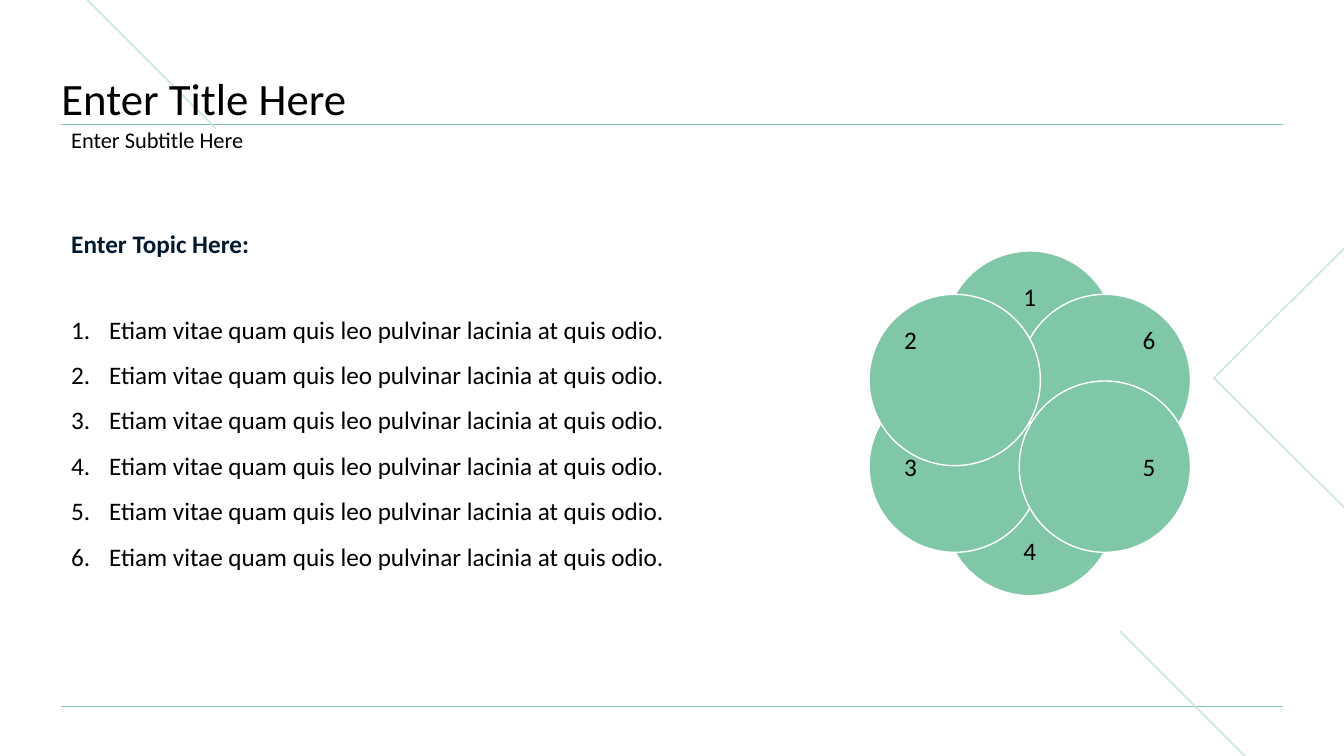
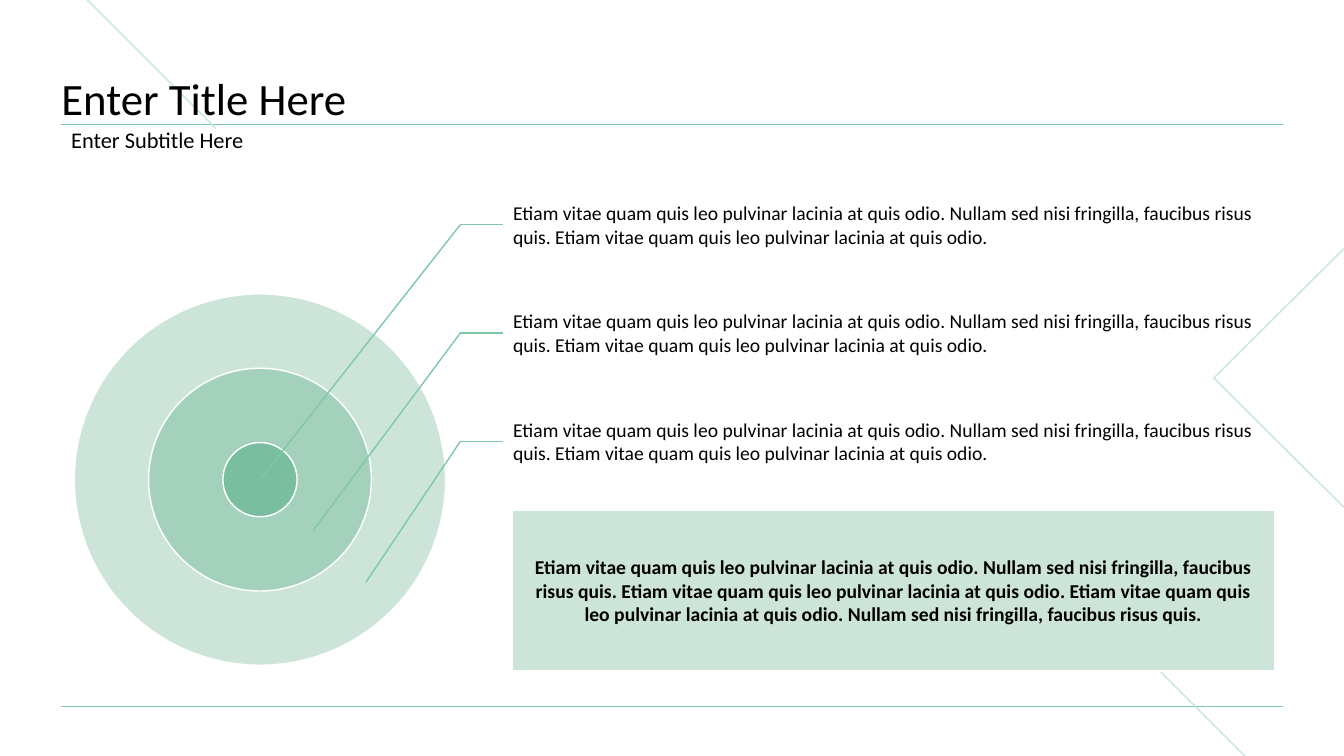
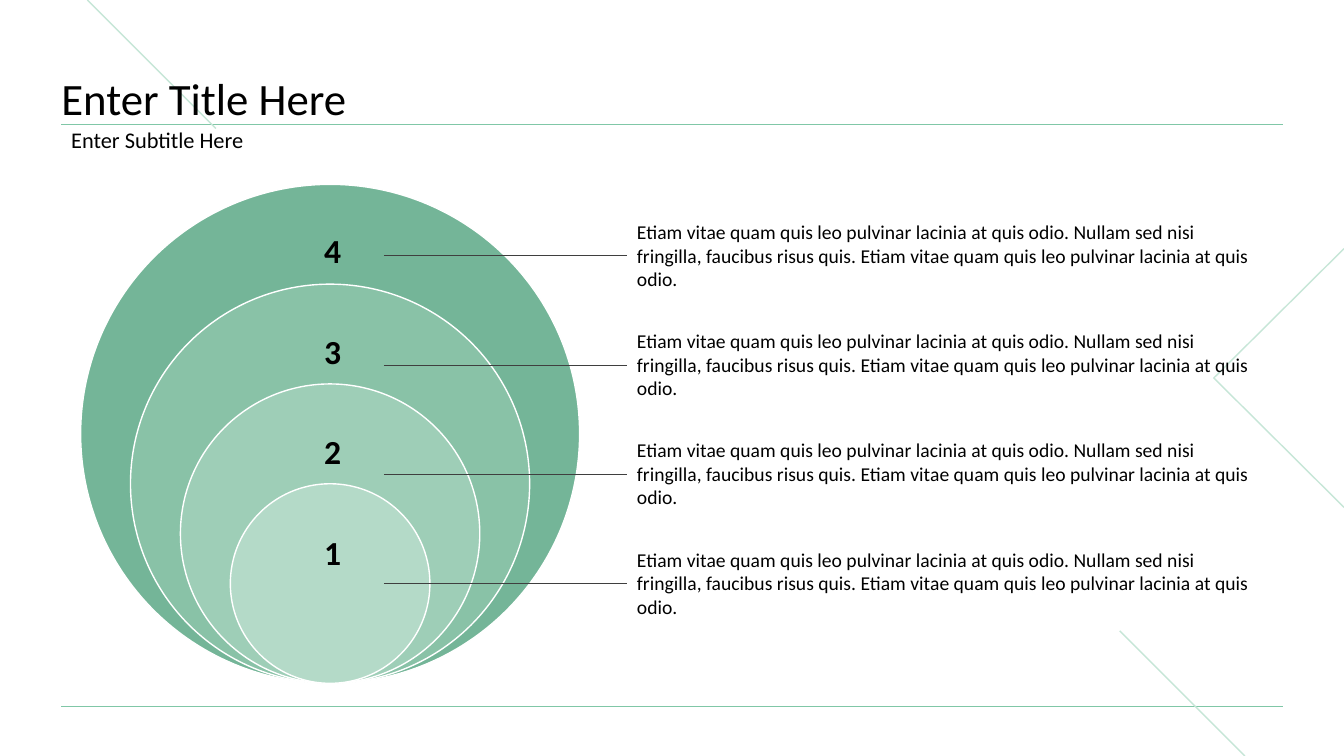
from dataclasses import dataclass
from math import cos, radians, sin

from lxml.etree import SubElement
from pptx import Presentation
from pptx.dml.color import RGBColor
from pptx.enum.shapes import MSO_CONNECTOR, MSO_SHAPE
from pptx.enum.text import MSO_ANCHOR, PP_ALIGN
from pptx.oxml.ns import qn
from pptx.presentation import Presentation as Deck
from pptx.shapes.autoshape import Shape
from pptx.slide import Slide
from pptx.text.text import TextFrame
from pptx.util import Emu, Inches, Pt

COLUMNS, ROWS = 160, 90
CELL = Inches(7.5) / ROWS

FONT = "Calibri"
BLACK, NAVY, GREY, WHITE = "000000", "00192F", "3F3F3F", "FFFFFF"
GREEN, PALE_GREEN, MIST = "80C7A7", "C6E6D7", "CDE5D9"

LEFT, RIGHT = 7.3, 152.75
WIDTH = RIGHT - LEFT
TITLE_RULE, FOOTER_RULE = 14.75, 84.1

SENTENCE = "Etiam vitae quam quis leo pulvinar lacinia at quis odio."
NULLAM = "Nullam sed nisi fringilla, faucibus risus quis."
PASSAGE = f"{SENTENCE} {NULLAM} {SENTENCE}"
SUMMARY = f"{PASSAGE} {SENTENCE} {NULLAM}"


@dataclass(frozen=True)
class Area:
    left: float
    top: float
    width: float
    height: float


@dataclass(frozen=True)
class Style:
    size: float = 14
    color: str = BLACK
    bold: bool = False
    align: PP_ALIGN = PP_ALIGN.LEFT
    anchor: MSO_ANCHOR = MSO_ANCHOR.TOP
    spacing: float = 1.0
    inset: bool = True
    numbered: bool = False


@dataclass(frozen=True)
class Stroke:
    start: tuple[float, float]
    end: tuple[float, float]
    color: str = GREEN
    weight: float = 1


@dataclass(frozen=True)
class Petal:
    number: int
    align: PP_ALIGN
    anchor: MSO_ANCHOR


@dataclass(frozen=True)
class Ring:
    units: int
    color: str


FRAME = [
    Stroke((LEFT, FOOTER_RULE), (RIGHT, FOOTER_RULE), GREEN, 0.5),
    Stroke((LEFT, TITLE_RULE), (RIGHT, TITLE_RULE), GREEN, 0.5),
    Stroke((133.3, 75.1), (148.2, ROWS), PALE_GREEN),
    Stroke((10.4, 0), (25.7, 15.3), PALE_GREEN),
]
CHEVRON = [(COLUMNS, 29.6), (144.5, 45), (COLUMNS, 60.4)]

PETALS = [
    Petal(1, PP_ALIGN.CENTER, MSO_ANCHOR.TOP),
    Petal(4, PP_ALIGN.CENTER, MSO_ANCHOR.BOTTOM),
    Petal(3, PP_ALIGN.LEFT, MSO_ANCHOR.MIDDLE),
    Petal(6, PP_ALIGN.RIGHT, MSO_ANCHOR.TOP),
    Petal(5, PP_ALIGN.RIGHT, MSO_ANCHOR.MIDDLE),
    Petal(2, PP_ALIGN.LEFT, MSO_ANCHOR.TOP),
]
TARGET_RINGS = [Ring(5, MIST), Ring(3, "A4D1BC"), Ring(1, "7ABEA0")]
NESTED_RINGS = [
    Ring(5, "74B598"), Ring(4, "89C2A7"), Ring(3, "9ECEB7"), Ring(2, "B4DAC8"),
]


def cells(count: float) -> Emu:
    return Emu(round(count * CELL))


def rgb(value: str) -> RGBColor:
    return RGBColor.from_string(value)


def place(area: Area) -> tuple[Emu, Emu, Emu, Emu]:
    return cells(area.left), cells(area.top), cells(area.width), cells(area.height)


def circle(x: float, y: float, diameter: float) -> Area:
    return Area(x - diameter / 2, y - diameter / 2, diameter, diameter)


def write(frame: TextFrame, lines: list[str], style: Style) -> None:
    frame.word_wrap = True
    frame.vertical_anchor = style.anchor
    if not style.inset:
        frame.margin_left = frame.margin_right = 0
        frame.margin_top = frame.margin_bottom = 0
    for index, line in enumerate(lines):
        para = frame.add_paragraph() if index else frame.paragraphs[0]
        para.text = line
        para.alignment = style.align
        para.line_spacing = style.spacing
        para.font.name = FONT
        para.font.size = Pt(style.size)
        para.font.bold = style.bold
        para.font.color.rgb = rgb(style.color)
        if style.numbered:
            properties = para._p.get_or_add_pPr()
            indent = cells(4.5)
            properties.set("marL", str(indent))
            properties.set("indent", str(-indent))
            properties.insert_element_before(
                SubElement(properties, qn("a:buAutoNum"), type="arabicPeriod"),
                "a:tabLst", "a:defRPr", "a:extLst",
            )


def add_text(page: Slide, area: Area, lines: list[str], style: Style) -> None:
    write(page.shapes.add_textbox(*place(area)).text_frame, lines, style)


def add_filled(page: Slide, kind: MSO_SHAPE, area: Area, color: str) -> Shape:
    shape = page.shapes.add_shape(kind, *place(area))
    shape.shadow.inherit = False
    shape.fill.solid()
    shape.fill.fore_color.rgb = rgb(color)
    shape.line.color.rgb = rgb(WHITE)
    shape.line.width = Pt(1)
    return shape


def add_stroke(page: Slide, stroke: Stroke) -> None:
    ends = [cells(value) for value in (*stroke.start, *stroke.end)]
    line = page.shapes.add_connector(MSO_CONNECTOR.STRAIGHT, *ends)
    line.line.color.rgb = rgb(stroke.color)
    line.line.width = Pt(stroke.weight)
    SubElement(line._element.spPr, qn("a:effectLst"))


def add_chevron(page: Slide) -> None:
    start, *rest = [(cells(x), cells(y)) for x, y in CHEVRON]
    builder = page.shapes.build_freeform(*start)
    builder.add_line_segments(rest, close=False)
    chevron = builder.convert_to_shape()
    chevron.shadow.inherit = False
    chevron.fill.background()
    chevron.line.color.rgb = rgb(PALE_GREEN)
    chevron.line.width = Pt(1)


def add_page(deck: Deck) -> Slide:
    page = deck.slides.add_slide(deck.slide_layouts[6])
    for stroke in FRAME:
        add_stroke(page, stroke)
    add_chevron(page)
    add_text(page, Area(LEFT, 5.25, WIDTH, 9.6), ["Enter Title Here"],
             Style(32, anchor=MSO_ANCHOR.BOTTOM, spacing=0.9, inset=False))
    add_text(page, Area(LEFT, TITLE_RULE, WIDTH, 4.1), ["Enter Subtitle Here"],
             Style(16, anchor=MSO_ANCHOR.MIDDLE, spacing=0.9))
    return page


def build_flower(deck: Deck) -> None:
    page = add_page(deck)
    center_x, center_y, reach, diameter = 122.6, 50.4, 10.32, 20.4
    add_text(page, Area(LEFT, 26.6, 86.3, 4.8), ["Enter Topic Here:"],
             Style(18, NAVY, bold=True))
    for petal in PETALS:
        angle = radians(30 + 60 * petal.number)
        area = circle(center_x + reach * cos(angle),
                      center_y - reach * sin(angle), diameter)
        shape = add_filled(page, MSO_SHAPE.OVAL, area, GREEN)
        write(shape.text_frame, [str(petal.number)],
              Style(18, align=petal.align, anchor=petal.anchor))
    add_text(page, Area(LEFT, 35, 86.3, 35.9), [SENTENCE] * len(PETALS),
             Style(18, spacing=1.5, numbered=True))


def build_target(deck: Deck) -> None:
    page = add_page(deck)
    center_x, center_y, unit = 30.95, 57.1, 8.84
    elbow, text_left, text_height = 54.8, 59.9, 6.84
    for ring in TARGET_RINGS:
        add_filled(page, MSO_SHAPE.OVAL,
                   circle(center_x, center_y, ring.units * unit), ring.color)
    for index in range(len(TARGET_RINGS)):
        y = 26.75 + 12.9 * index
        aim = (center_x + 6.3 * index, center_y + 6.12 * index)
        add_stroke(page, Stroke((elbow, y), aim))
        add_stroke(page, Stroke((text_left, y), (elbow, y)))
        add_text(page, Area(text_left, y - text_height / 2, 91.9, text_height),
                 [PASSAGE], Style())
    summary = add_filled(page, MSO_SHAPE.RECTANGLE,
                         Area(60.95, 60.7, 90.85, 19.2), MIST)
    write(summary.text_frame, [SUMMARY],
          Style(bold=True, align=PP_ALIGN.CENTER, anchor=MSO_ANCHOR.MIDDLE))


def build_nest(deck: Deck) -> None:
    page = add_page(deck)
    center_x, base, unit = 39.3, 81.35, 11.88
    text_left, text_height = 74.65, 9.72
    for ring in NESTED_RINGS:
        diameter = ring.units * unit
        add_filled(page, MSO_SHAPE.OVAL,
                   circle(center_x, base - diameter / 2, diameter), ring.color)
    for index in range(len(NESTED_RINGS)):
        y = 30.45 + 13 * index
        add_stroke(page, Stroke((45.7, y), (text_left, y), GREY, 0.5))
        add_text(page, Area(text_left, y - text_height / 2, 75.7, text_height),
                 [PASSAGE], Style())
        add_text(page, Area(37.4, 24.7 + 12 * index, 3.7, 7.7),
                 [str(len(NESTED_RINGS) - index)],
                 Style(24, bold=True, anchor=MSO_ANCHOR.MIDDLE, spacing=1.5))


def main() -> None:
    deck = Presentation()
    deck.slide_width, deck.slide_height = cells(COLUMNS), cells(ROWS)
    for build in (build_flower, build_target, build_nest):
        build(deck)
    deck.save("out.pptx")


main()
